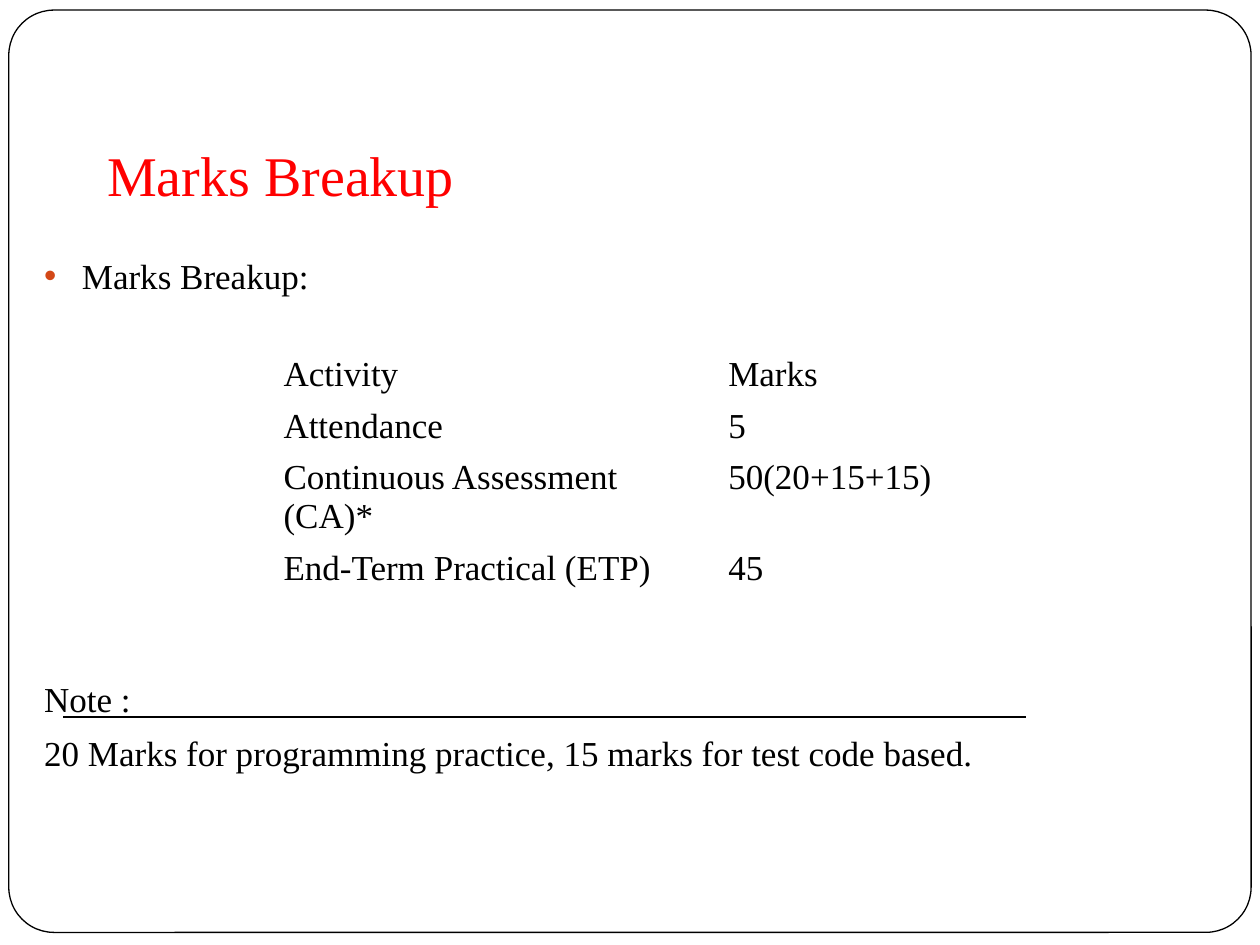
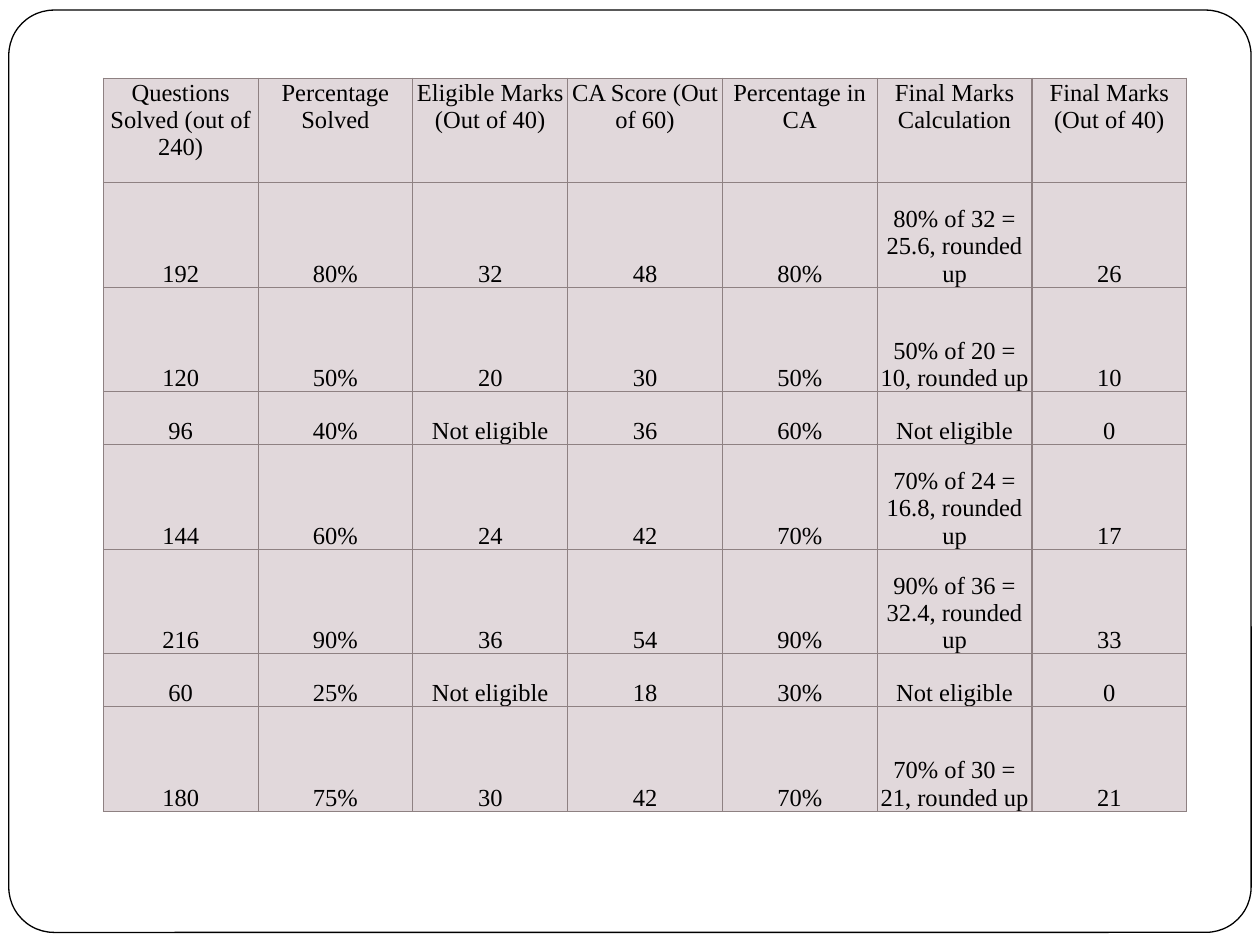
"""Build two slides that show how course marks are split and worked out."""
from lxml import etree
from pptx import Presentation
from pptx.dml.color import RGBColor
from pptx.enum.shapes import MSO_CONNECTOR, MSO_SHAPE
from pptx.enum.text import MSO_ANCHOR, MSO_AUTO_SIZE, PP_ALIGN
from pptx.oxml.ns import qn
from pptx.util import Inches, Pt

ROUND = MSO_SHAPE.ROUNDED_RECTANGLE
STRAIGHT = MSO_CONNECTOR.STRAIGHT
TOP, BOTTOM = MSO_ANCHOR.TOP, MSO_ANCHOR.BOTTOM
LEFT, CENTER = PP_ALIGN.LEFT, PP_ALIGN.CENTER
NO_FIT = MSO_AUTO_SIZE.NONE

FONT = "Times New Roman"
BLACK, WHITE, RED = "000000", "FFFFFF", "FF0000"
ORANGE, MAUVE, EDGE = "D34817", "E1D8DB", "8E8182"
NONE = "Not eligible"

SPLIT = [
    ("Activity", "Marks"),
    ("Attendance", "5"),
    ("Continuous Assessment (CA)*", "50(20+15+15)"),
    ("End-Term Practical (ETP)", "45"),
    ("", ""),
]
SCORES = [
    ("Questions Solved (out of 240)", "Percentage Solved",
     "Eligible Marks (Out of 40)", "CA Score (Out of 60)",
     "Percentage in CA", "Final Marks Calculation",
     "Final Marks (Out of 40)"),
    ("192", "80%", "32", "48", "80%", "80% of 32 = 25.6, rounded up", "26"),
    ("120", "50%", "20", "30", "50%", "50% of 20 = 10, rounded up", "10"),
    ("96", "40%", NONE, "36", "60%", NONE, "0"),
    ("144", "60%", "24", "42", "70%", "70% of 24 = 16.8, rounded up", "17"),
    ("216", "90%", "36", "54", "90%", "90% of 36 = 32.4, rounded up", "33"),
    ("60", "25%", NONE, "18", "30%", NONE, "0"),
    ("180", "75%", "30", "42", "70%", "70% of 30 = 21, rounded up", "21"),
]


def rgb(code):
    """Turn a hex string into a colour."""
    return RGBColor.from_string(code)


def style(para, size, color=BLACK, align=LEFT):
    """Set the font and alignment of a paragraph."""
    para.alignment = align
    para.font.name = FONT
    para.font.size = Pt(size)
    para.font.color.rgb = rgb(color)


def place(shape, left, top, width, height):
    """Move and size a shape, in inches."""
    shape.left, shape.top = Inches(left), Inches(top)
    shape.width, shape.height = Inches(width), Inches(height)


def solid(parent, tag, color):
    """Add a child element that holds a plain colour."""
    node = etree.SubElement(parent, qn(tag))
    etree.SubElement(node, qn("a:srgbClr"), val=color)


def add_frame(prs, slide):
    """Draw the rounded frame and hand it to the master."""
    frame = slide.shapes.add_shape(ROUND, 0, 0, 0, 0)
    place(frame, 0.07, 0.08, 9.86, 7.32)
    frame.adjustments[0] = 0.049
    frame.shadow.inherit = False
    frame.fill.solid()
    frame.fill.fore_color.rgb = rgb(WHITE)
    frame.line.color.rgb = rgb(BLACK)
    frame.line.width = Pt(0.75)
    prs.slide_master.shapes._spTree.insert(2, frame._element)


def set_title(slide, text):
    """Fill and format the title."""
    title = slide.shapes.title
    place(title, 0.75, 0.5, 8.5, 1.25)
    box = title.text_frame
    box.text = text
    box.auto_size = NO_FIT
    box.vertical_anchor = BOTTOM
    box.margin_bottom = Inches(0.1)
    style(box.paragraphs[0], 32, RED)


def set_body(slide, items):
    """Fill the body from (text, space before, bullet) items."""
    body = slide.placeholders[1]
    place(body, 0.25, 1.97, 9, 5.21)
    box = body.text_frame
    box.text = "\n".join(text for text, _, _ in items)
    box.auto_size = NO_FIT
    for para, (_, gap, dot) in zip(box.paragraphs, items):
        style(para, 20)
        para.space_before = Pt(gap)
        props = para._p.get_or_add_pPr()
        indent = Inches(0.3) if dot else 0
        props.set("marL", str(indent))
        props.set("indent", str(-indent))
        if dot:
            solid(props, "a:buClr", ORANGE)
            etree.SubElement(props, qn("a:buChar"), char="•")
        else:
            etree.SubElement(props, qn("a:buNone"))


def add_rule(slide, left, right, y):
    """Draw a thin level line."""
    line = slide.shapes.add_connector(
        STRAIGHT, Inches(left), Inches(y), Inches(right), Inches(y))
    line.line.color.rgb = rgb(BLACK)
    line.line.width = Pt(0.75)
    etree.SubElement(line._element.spPr, qn("a:effectLst"))


def add_grid(slide, rows, left, top, width, height):
    """Add a plain table with text but no cell colours."""
    table = slide.shapes.add_table(
        len(rows), len(rows[0]), Inches(left), Inches(top),
        Inches(width), Inches(height)).table
    table.first_row = table.horz_banding = False
    for line, row in zip(table.rows, rows):
        for cell, text in zip(line.cells, row):
            cell.text = text
            cell.fill.background()
            style(cell.text_frame.paragraphs[0], 20)
    return table


def add_edges(cell):
    """Put a thin border round a cell."""
    props = cell._tc.get_or_add_tcPr()
    for spot, side in enumerate("LRTB"):
        edge = etree.Element(qn("a:ln" + side), w=str(Pt(0.75)))
        solid(edge, "a:solidFill", EDGE)
        props.insert(spot, edge)


def shade(table):
    """Give the score table its fill, borders and tight margins."""
    for num, row in enumerate(table.rows):
        for cell in row.cells:
            cell.margin_left = cell.margin_right = Inches(0.01)
            cell.margin_top, cell.margin_bottom = Inches(0.01), 0
            cell.vertical_anchor = BOTTOM if num else TOP
            cell.fill.solid()
            cell.fill.fore_color.rgb = rgb(MAUVE)
            add_edges(cell)
            style(cell.text_frame.paragraphs[0], 14, align=CENTER)


def main():
    """Build and save both slides."""
    prs = Presentation()
    prs.slide_width, prs.slide_height = Inches(10), Inches(7.5)

    marks = prs.slides.add_slide(prs.slide_layouts[1])
    add_frame(prs, marks)
    set_title(marks, "Marks Breakup")
    set_body(marks, [
        ("Marks Breakup:", 0, True),
        ("Note :", 217.5, False),
        ("20 Marks for programming practice, "
         "15 marks for test code based.", 7, False),
    ])
    split = add_grid(marks, SPLIT, 2.15, 2.77, 5.99, 2.05)
    split.columns[0].width = Inches(3.53)
    split.columns[1].width = Inches(2.46)
    add_rule(marks, 0.5, 8.14, 5.69)

    scores = prs.slides.add_slide(prs.slide_layouts[6])
    table = add_grid(scores, SCORES, 0.82, 0.62, 8.6, 5.83)
    for line, row in zip(table.rows, SCORES):
        line.height = Inches(0.42 if NONE in row else 0.83)
    shade(table)

    prs.save("out.pptx")


if __name__ == "__main__":
    main()
